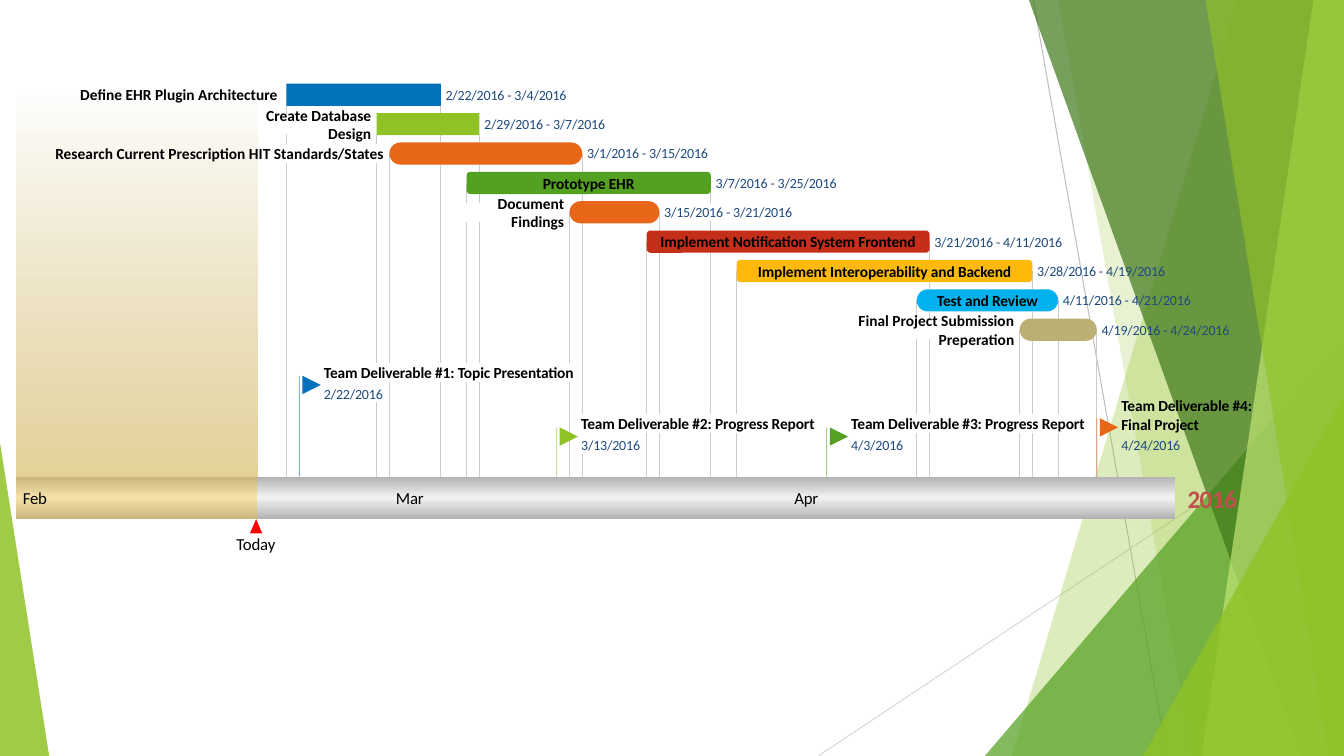
from dataclasses import dataclass

from lxml import etree
from pptx import Presentation
from pptx.dml.color import RGBColor
from pptx.enum import shapes, text
from pptx.oxml import ns
from pptx.util import Cm, Pt


@dataclass(frozen=True)
class Theme:
    font: str = "Calibri"
    ink: str = "000000"
    date: str = "1F497E"
    year: str = "C0504D"
    guide: str = "CCCCCC"
    elapsed: str = "FFC000"
    today: str = "FF0000"
    blue: str = "0072BC"
    lime: str = "90C226"
    green: str = "54A021"
    forest: str = "3F7819"
    pale: str = "C0E474"
    orange: str = "E76618"
    red: str = "C42F1A"
    amber: str = "FEBA0A"
    sky: str = "02B2EE"
    sand: str = "BBAF74"
    rule_dark: str = "BFBFBF"
    rule_light: str = "D9D9D9"
    axis_edge: str = "B2B2B2"
    axis_middle: str = "F2F2F2"
    label_size: int = 11
    date_size: int = 10
    month_size: int = 12
    year_size: int = 18


T = Theme()
MSO, ALIGN = shapes.MSO_SHAPE, text.PP_ALIGN
SLIDE_W, SLIDE_H = 33.87, 19.05
AXIS_X, AXIS_Y, AXIS_W, AXIS_H = 0.41, 12.01, 29.21, 1.07
ELAPSED_W = 6.07
FIRST_DAY_X, DAY = 7.22, 20.42 / 63
ROW_Y, ROW_STEP, BAR_H = 2.11, 0.74, 0.56
LABEL_H, DATE_H, FLAG = 0.48, 0.43, 0.46
MIN_GUIDE = 0.1
DAYS_BEFORE = {2: -22, 3: 7, 4: 38}

SQUARE, SOFT, PILL = None, 0.17, 0.5
TASKS = [
    ("Define EHR Plugin Architecture ", 5.08, "2/22/2016 - 3/4/2016", T.blue, SQUARE, False),
    ("Create Database Design", 3.81, "2/29/2016 - 3/7/2016", T.lime, SQUARE, False),
    ("Research Current Prescription HIT Standards/States ", 8.36, "3/1/2016 - 3/15/2016", T.orange, PILL, False),
    ("Prototype EHR", 2.36, "3/7/2016 - 3/25/2016", T.green, SOFT, True),
    ("Document Findings", 3.1, "3/15/2016 - 3/21/2016", T.orange, PILL, False),
    ("Implement Notification System Frontend", 6.55, "3/21/2016 - 4/11/2016", T.red, SOFT, True),
    ("Implement Interoperability and Backend", 6.53, "3/28/2016 - 4/19/2016", T.amber, SOFT, True),
    ("Test and Review", 2.62, "4/11/2016 - 4/21/2016", T.sky, PILL, True),
    ("Final Project Submission Preperation", 5.92, "4/19/2016 - 4/24/2016", T.sand, PILL, False),
]
MILESTONES = [
    ("Team Deliverable #1: Topic Presentation", "2/22/2016", T.blue, 9.47, (9.14, 6.45, LABEL_H)),
    ("Team Deliverable #2: Progress Report", "3/13/2016", T.lime, 10.77, (10.44, 6.05, LABEL_H)),
    ("Team Deliverable #3: Progress Report", "4/3/2016", T.green, 10.77, (10.44, 6.05, LABEL_H)),
    ("Team Deliverable #4: Final Project", "4/24/2016", T.orange, 10.54, (9.98, 3.45, 0.94)),
]


def date_x(date, days_after=0):
    month, day, _ = date.split("/")
    return FIRST_DAY_X + DAY * (DAYS_BEFORE[int(month)] + int(day) + days_after)


def set_alpha(sp, percent):
    color = sp._element.spPr.find(".//" + ns.qn("a:srgbClr"))
    etree.SubElement(color, ns.qn("a:alpha")).set("val", str(percent * 1000))


def paint(sp, color, alpha=100):
    sp.shadow.inherit = False
    sp.line.fill.background()
    sp.fill.solid()
    sp.fill.fore_color.rgb = RGBColor.from_string(color)
    if alpha < 100:
        set_alpha(sp, alpha)
    return sp


def add_block(s, kind, box, color, alpha=100, adj=None):
    sp = s.shapes.add_shape(kind, *map(Cm, box))
    if adj is not None:
        sp.adjustments[0] = adj
    return paint(sp, color, alpha)


def add_facet(s, top_left, bottom_left, color, alpha):
    outline = s.shapes.build_freeform(Cm(top_left), 0)
    corners = [(SLIDE_W, 0), (SLIDE_W, SLIDE_H), (bottom_left, SLIDE_H)]
    outline.add_line_segments([(Cm(x), Cm(y)) for x, y in corners])
    paint(outline.convert_to_shape(), color, alpha)


def add_line(s, x1, y1, x2, y2, color, alpha=100):
    c = s.shapes.add_connector(shapes.MSO_CONNECTOR.STRAIGHT, *map(Cm, (x1, y1, x2, y2)))
    c.line.color.rgb = RGBColor.from_string(color)
    c.line.width = Pt(0.75)
    if alpha < 100:
        set_alpha(c, alpha)
    etree.SubElement(c._element.spPr, ns.qn("a:effectLst"))


def add_text(s, box, words, size, color=T.ink, bold=False, align=ALIGN.LEFT, spacing=-10, wrap=False):
    tf = s.shapes.add_textbox(*map(Cm, box)).text_frame
    tf.margin_left = tf.margin_top = tf.margin_right = tf.margin_bottom = 0
    tf.word_wrap = wrap
    tf.auto_size = text.MSO_AUTO_SIZE.SHAPE_TO_FIT_TEXT
    tf.vertical_anchor = text.MSO_ANCHOR.MIDDLE
    p = tf.paragraphs[0]
    p.alignment = align
    r = p.add_run()
    r.text = words
    r.font.name, r.font.size, r.font.bold = T.font, Pt(size), bold
    r.font.color.rgb = RGBColor.from_string(color)
    r._r.get_or_add_rPr().set("spc", str(spacing))


def add_gradient(s, box, stops):
    sp = add_block(s, MSO.RECTANGLE, box, T.elapsed)
    stop_xml = "".join(
        f'<a:gs pos="{pos * 1000}"><a:srgbClr val="{color}"><a:alpha val="{alpha * 1000}"/></a:srgbClr></a:gs>'
        for pos, color, alpha in stops)
    fill = etree.fromstring(
        f'<a:gradFill {ns.nsdecls("a")} rotWithShape="1"><a:gsLst>{stop_xml}</a:gsLst>'
        '<a:lin ang="5400000" scaled="0"/></a:gradFill>')
    spPr = sp._element.spPr
    spPr.replace(spPr.find(ns.qn("a:solidFill")), fill)
    return sp


def add_shade(sp):
    effects = sp._element.spPr.find(ns.qn("a:effectLst"))
    effects.append(etree.fromstring(
        f'<a:outerShdw {ns.nsdecls("a")} blurRad="0" dist="0" dir="0"><a:srgbClr val="{T.ink}">'
        '<a:alpha val="50000"/></a:srgbClr></a:outerShdw>'))


def task_boxes(row, task):
    _, width, dates, _, _, inside = task
    start, end = dates.split(" - ")
    left, right, top = date_x(start), date_x(end, 1), ROW_Y + row * ROW_STEP
    label_x = (left + right - width) / 2 if inside else left - 0.13 - width
    return ((left, top, right - left, BAR_H), (label_x, top + 0.04, width, LABEL_H),
            (right + 0.12, top + 0.06, 3.35, DATE_H))


def milestone_boxes(milestone):
    _, date, _, _, (top, width, height) = milestone
    left = date_x(date, 1) + 0.62
    return (left, top, width, height), (left, top + height + 0.08, 1.55, DATE_H)


def add_guide(s, x, y, obstacles):
    for left, top, width, height in sorted(obstacles, key=lambda box: box[1]):
        if left < x < left + width:
            if top - y > MIN_GUIDE:
                add_line(s, x, y, x, top, T.guide)
            y = max(y, top + height)
    add_line(s, x, y, x, AXIS_Y, T.guide)


def add_backdrop(s):
    add_line(s, 26.04, 0, 29.41, SLIDE_H, T.rule_dark)
    add_line(s, SLIDE_W, 10.24, 20.62, SLIDE_H, T.rule_light)
    add_facet(s, 31.19, 25.5, T.lime, 30)
    add_facet(s, 26.67, 30.05, T.lime, 20)
    add_block(s, MSO.ISOSCELES_TRIANGLE, (24.82, 8.46, 9.05, 10.59), T.green, 72, 1)
    add_facet(s, 25.93, 32.79, T.forest, 70)
    add_facet(s, 33.1, 30.28, T.pale, 70)
    add_facet(s, 30.38, 33.48, T.lime, 65)
    add_block(s, MSO.ISOSCELES_TRIANGLE, (28.81, 9.98, 5.06, 9.07), T.lime, 80, 1)
    add_block(s, MSO.ISOSCELES_TRIANGLE, (0, 11.15, 1.24, 7.9), T.lime, 85, 0)


def add_guides(s):
    rows = [task_boxes(i, task) for i, task in enumerate(TASKS)]
    notes = [box for m in MILESTONES for box in milestone_boxes(m)]
    for i, ((left, top, width, height), _, _) in enumerate(rows):
        below = [box for row in rows[i + 1:] for box in row] + notes
        y = top + (height if TASKS[i][4] is SQUARE else height / 2)
        for x in (left, left + width):
            add_guide(s, x, y, below)
    for _, date, color, flag_y, _ in MILESTONES:
        x = date_x(date, 1)
        add_line(s, x, flag_y, x, AXIS_Y, color, 50)


def add_axis(s):
    add_shade(add_gradient(s, (AXIS_X, ROW_Y, ELAPSED_W, AXIS_Y - ROW_Y),
                           [(0, T.elapsed, 0), (100, T.elapsed, 30)]))
    add_text(s, (29.85, 12.17, 1.4, 0.79), "2016", T.year_size, T.year, True, ALIGN.CENTER, -40)
    add_gradient(s, (AXIS_X, AXIS_Y, AXIS_W, AXIS_H),
                 [(0, T.axis_edge, 100), (50, T.axis_middle, 100), (100, T.axis_edge, 100)])
    add_block(s, MSO.RECTANGLE, (AXIS_X, AXIS_Y, ELAPSED_W, AXIS_H), T.elapsed, 30)
    add_block(s, MSO.ISOSCELES_TRIANGLE, (6.3, AXIS_Y + AXIS_H, 0.31, 0.36), T.today)
    add_text(s, (5.94, 13.44, 1.02, 0.51), "Today", T.month_size, align=ALIGN.CENTER)
    for month, x, width in (("Feb", 0.58, 0.61), ("Mar", 9.98, 0.71), ("Apr", 20.02, 0.61)):
        add_text(s, (x, 12.29, width, 0.51), month, T.month_size, spacing=-20)


def add_milestone(s, milestone):
    title, date, color, flag_y, _ = milestone
    title_box, date_box = milestone_boxes(milestone)
    add_text(s, title_box, title, T.label_size, bold=True, wrap=title_box[3] > LABEL_H)
    add_text(s, date_box, date, T.date_size, T.date)
    flag = (date_x(date, 1) + 0.08, flag_y, FLAG, FLAG)
    add_block(s, MSO.FLOWCHART_MERGE, flag, color).rotation = 270


def add_task(s, row, task):
    label, _, dates, color, corner, inside = task
    bar, label_box, date_box = task_boxes(row, task)
    add_block(s, MSO.RECTANGLE if corner is SQUARE else MSO.ROUNDED_RECTANGLE, bar, color, adj=corner)
    align, spacing = (ALIGN.CENTER, -10) if inside else (ALIGN.RIGHT, 0)
    add_text(s, label_box, label, T.label_size, bold=True, align=align, spacing=spacing)
    add_text(s, date_box, dates, T.date_size, T.date)


def main():
    prs = Presentation()
    prs.slide_width, prs.slide_height = Cm(SLIDE_W), Cm(SLIDE_H)
    s = prs.slides.add_slide(prs.slide_layouts[6])
    add_backdrop(s)
    add_guides(s)
    add_axis(s)
    for milestone in MILESTONES:
        add_milestone(s, milestone)
    for row, task in enumerate(TASKS):
        add_task(s, row, task)
    prs.save("out.pptx")


if __name__ == "__main__":
    main()
